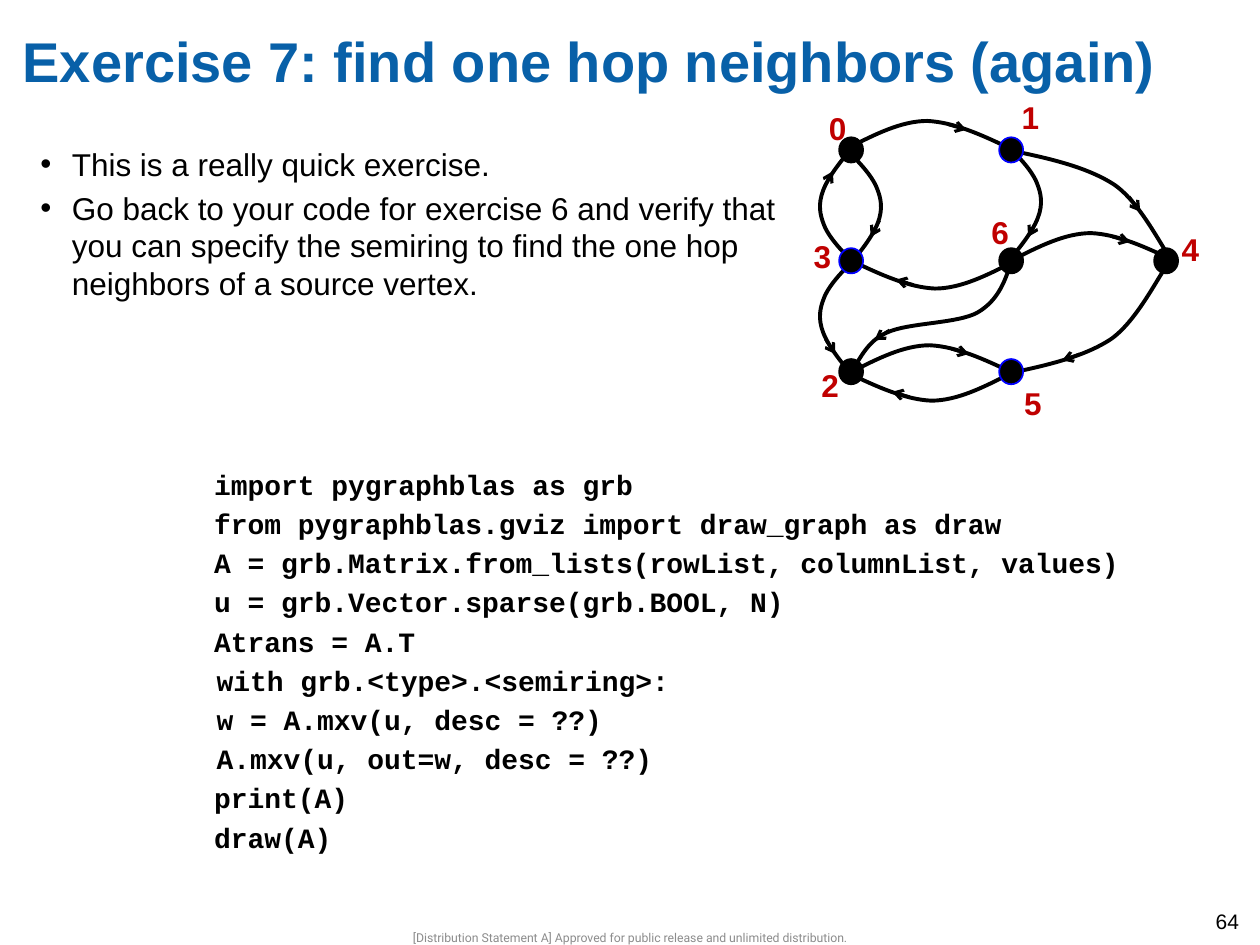
from lxml.etree import SubElement as Sub
from pptx import Presentation
from pptx.dml.color import RGBColor
from pptx.enum.shapes import MSO_CONNECTOR as Link, MSO_SHAPE as Kind
from pptx.enum.text import MSO_ANCHOR as Anchor, MSO_AUTO_SIZE as Auto, PP_ALIGN as Align
from pptx.oxml.ns import qn
from pptx.util import Inches, Pt

# Content
TITLE = "Exercise 7: find one hop neighbors (again)"
POINTS = [
    "This is a really quick exercise.",
    "Go back to your code for exercise 6 and verify that you can specify "
    "the semiring to find the one hop neighbors of a source vertex.",
]
# Code lines with their left indent
CODE = [
    ("import pygraphblas as grb", 1.12),
    ("from pygraphblas.gviz import draw_graph as draw", 1.12),
    ("A = grb.Matrix.from_lists(rowList, columnList, values)", 1.12),
    ("u = grb.Vector.sparse(grb.BOOL, N)", 1.12),
    ("Atrans = A.T", 1.12),
    ("with grb.<type>.<semiring>:", 1.14),
    ("w = A.mxv(u, desc = ??)", 1.14),
    ("A.mxv(u, out=w, desc = ??)", 1.14),
    ("print(A)", 1.12),
    ("draw(A)", 1.12),
]
FOOT = "[Distribution Statement A] Approved for public release and unlimited distribution."
PAGE = "64"

# Graph: columns and rows, then label: (column, row, border, label offset)
COLS, ROWS = (6.75, 8.02, 9.25), (1.19, 2.07, 2.95)
BLACK, BLUE, RED = "000000", "0000FF", "C00000"
NODES = {
    "0": (0, 0, BLACK, (-0.27, -0.37)),
    "1": (1, 0, BLUE, (-0.01, -0.46)),
    "2": (0, 2, BLACK, (-0.33, -0.09)),
    "3": (0, 1, BLUE, (-0.39, -0.24)),
    "4": (2, 1, BLACK, (0.03, -0.29)),
    "5": (1, 2, BLUE, (0.01, 0.05)),
    "6": (1, 1, BLACK, (-0.25, -0.43)),
}

# Edge forms: Bezier points from the start, then the arrow's two ends
SWEEP = [(0, 0), (-0.08, 0.1), (-0.25, 0.46), (-0.46, 0.61),
         (-0.67, 0.75), (-0.97, 0.82), (-1.26, 0.88)]
BOW = [(0, 0), (0.08, 0.08), (0.15, 0.16), (0.19, 0.24), (0.22, 0.31),
       (0.25, 0.39), (0.22, 0.5), (0.19, 0.61), (0.1, 0.73), (0, 0.85)]
FORMS = {
    "arch": ([(0, 0), (0.2, -0.1), (0.41, -0.21), (0.62, -0.21),
              (0.83, -0.2), (1.05, -0.1), (1.28, 0.01)],
             [(0.79, -0.18), (0.93, -0.14)]),
    "bow": (BOW, [(0.2, 0.56), (0.13, 0.69)]),
    "high": (BOW, [(0.22, 0.52), (0.15, 0.65)]),
    "low": (BOW, [(0.19, 0.59), (0.11, 0.71)]),
    "out": (SWEEP, [(-0.71, 0.73), (-0.85, 0.78)]),
    "in": (SWEEP, [(-0.35, 0.52), (-0.26, 0.4)]),
    "wave": ([(0, 0), (-0.05, 0.15), (-0.1, 0.31), (-0.27, 0.41), (-0.43, 0.5),
              (-0.82, 0.49), (-0.99, 0.57), (-1.16, 0.64), (-1.22, 0.82), (-1.27, 0.87)],
             [(-0.97, 0.55), (-1.09, 0.63)]),
}
# Form, start, and flip across and down
EDGES = [
    ("bow", 6.74, 2.05, -1, -1),
    ("high", 6.76, 1.23, 1, 1),
    ("arch", 6.74, 1.17, 1, 1),
    ("wave", 8.03, 2.07, 1, 1),
    ("arch", 8.04, 2.06, 1, 1),
    ("arch", 6.76, 2.95, 1, 1),
    ("arch", 8.01, 2.97, -1, -1),
    ("arch", 8.04, 2.08, -1, -1),
    ("low", 6.74, 2.1, -1, 1),
    ("bow", 8.03, 1.19, 1, 1),
    ("out", 9.28, 2.08, 1, 1),
    ("in", 9.31, 2.08, 1, -1),
]


def hue(code):
    return RGBColor.from_string(code)


def place(box, left, top, wide, high):
    box.left, box.top, box.width, box.height = map(Inches, (left, top, wide, high))
    return box


def write(box, rows, size=18, face="Arial", color=BLACK, bold=False, align=Align.LEFT,
          anchor=Anchor.TOP, inset=(0, 0), wrap=True, fit=Auto.NONE, gap=0, mark=None):
    """Fill a box with (text, indent) rows."""
    frame = box.text_frame
    frame.word_wrap, frame.auto_size = wrap, fit
    frame.vertical_anchor = anchor
    frame.margin_left = frame.margin_right = Inches(inset[0])
    frame.margin_top, frame.margin_bottom = Inches(inset[1]), 0
    for i, (text, dent) in enumerate(rows):
        para = frame.paragraphs[0] if i == 0 else frame.add_paragraph()
        para.alignment, para.space_before = align, Pt(gap if i else 0)
        props = para._p.get_or_add_pPr()
        props.set("marL", str(Inches(dent)))
        props.set("indent", str(-Inches(dent) if mark else 0))
        if mark:
            Sub(props, qn("a:buChar"), char=mark)
        run = para.add_run()
        run.text = text
        font = run.font
        font.size, font.name, font.bold = Pt(size), face, bold
        font.color.rgb = hue(color)


def label(at, rows, **form):
    write(place(shapes.add_textbox(0, 0, 0, 0), *at), rows, **form)


def bend(shape):
    """Turn each three straight segments into one Bezier curve."""
    track = shape._element.find(".//" + qn("a:path"))
    legs = track.findall(qn("a:lnTo"))
    for i in range(0, len(legs), 3):
        cubic = Sub(track, qn("a:cubicBezTo"))
        for leg in legs[i:i + 3]:
            cubic.append(leg[0])
            track.remove(leg)


def ink(line, color, width):
    line.color.rgb, line.width = hue(color), Pt(width)


def edge(form, left, top, flip, turn):
    curve, arrow = ([(Inches(left + flip * x), Inches(top + turn * y)) for x, y in pts]
                    for pts in FORMS[form])
    tip = shapes.add_connector(Link.STRAIGHT, *arrow[0], *arrow[1])
    ink(tip.line, BLACK, 1.75)
    Sub(tip.line._get_or_add_ln(), qn("a:tailEnd"), type="arrow")
    Sub(tip._element.spPr, qn("a:effectLst"))
    pen = shapes.build_freeform(*curve[0])
    pen.add_line_segments(curve[1:], close=False)
    arc = pen.convert_to_shape()
    bend(arc)
    arc.shadow.inherit = False
    arc.fill.background()
    ink(arc.line, BLACK, 2.25)


def node(name, col, row, rim, shift):
    x, y = COLS[col], ROWS[row]
    dot = place(shapes.add_shape(Kind.OVAL, 0, 0, 0, 0), x - 0.09, y - 0.1, 0.19, 0.2)
    dot.shadow.inherit = False
    dot.fill.solid()
    dot.fill.fore_color.rgb = hue(BLACK)
    ink(dot.line, rim, 1)
    label((x + shift[0], y + shift[1], 0.27, 0.33), [(name, 0)], color=RED, bold=True,
          inset=(0.1, 0.05), wrap=False, fit=Auto.SHAPE_TO_FIT_TEXT)


deck = Presentation()
deck.slide_width, deck.slide_height = Inches(10), Inches(7.5)
slide = deck.slides.add_slide(deck.slide_layouts[1])
shapes = slide.shapes

# Title and bullets
write(place(shapes.title, 0.18, 0.21, 9.82, 0.97), [(TITLE, 0)],
      size=32, color="0860A8", bold=True)
write(place(slide.placeholders[1], 0.32, 1.15, 5.9, 2.08),
      [(text, 0.25) for text in POINTS], gap=3.4, mark="•")

# Graph
for item in EDGES:
    edge(*item)
for name, item in NODES.items():
    node(name, *item)

# Code
label((0.58, 3.26, 8.67, 3.7), CODE, size=16, face="Courier New", bold=True,
      inset=(0, 0.45), gap=3.2)

# Footer and page number
label((2.86, 7.38, 4.28, 0.12), [(FOOT, 0)], size=7, face="Roboto", color="8C8C8C",
      align=Align.CENTER, anchor=Anchor.MIDDLE)
label((9.55, 7.16, 0.45, 0.33), [(PAGE, 0)], size=12, inset=(0.1, 0.05))

deck.save("out.pptx")
